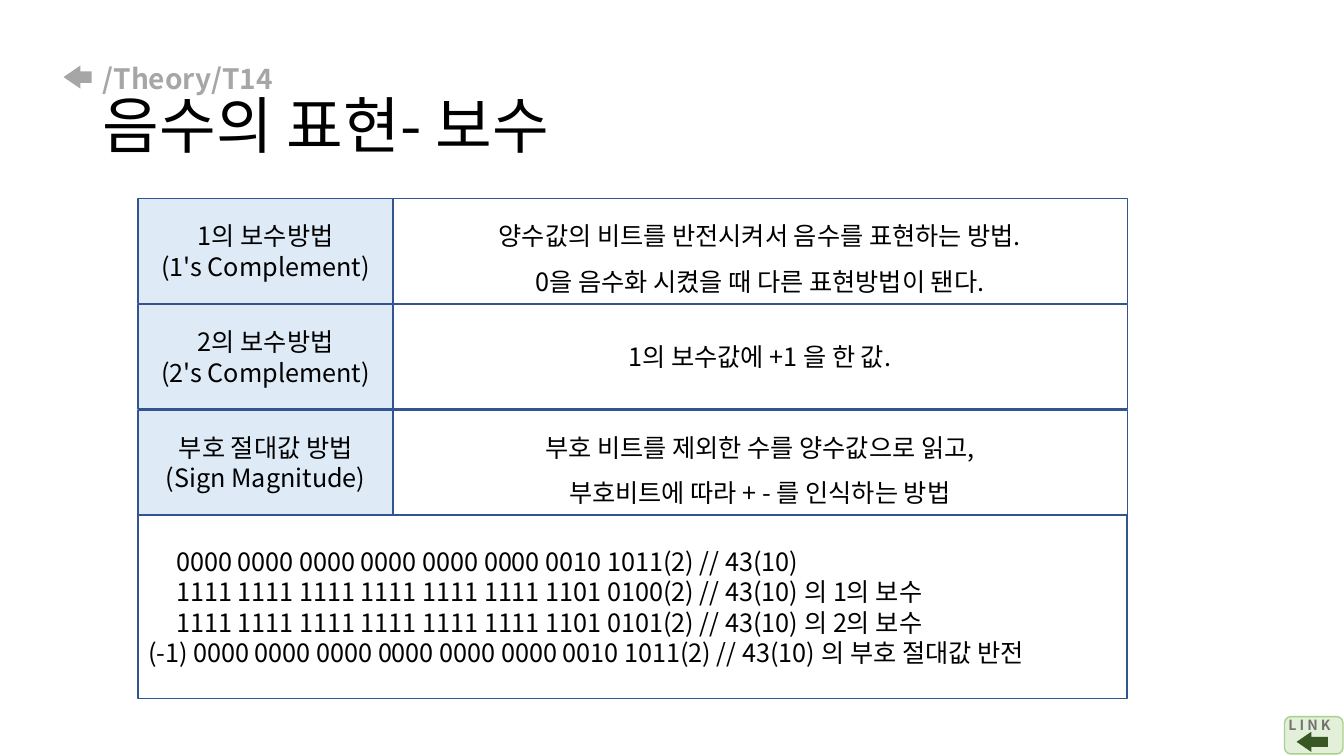
from pptx import Presentation
from pptx.dml.color import RGBColor
from pptx.enum.shapes import MSO_SHAPE
from pptx.enum.text import MSO_ANCHOR, PP_ALIGN
from pptx.oxml.ns import qn
from pptx.util import Pt
from lxml import etree

PX = 9144  # 100 px to the inch
FONT = "Noto Sans CJK KR"
RECT, ROUND = MSO_SHAPE.RECTANGLE, MSO_SHAPE.ROUNDED_RECTANGLE
ARROW = MSO_SHAPE.LEFT_ARROW
MIDDLE, TOP = MSO_ANCHOR.MIDDLE, MSO_ANCHOR.TOP
LEFT, CENTER = PP_ALIGN.LEFT, PP_ALIGN.CENTER
COLORS = {
    "text": "000000", "path": "A6A6A6", "label": "DEEBF7", "border": "325491",
    "button": "E2F0D9", "button_edge": "A9D18E", "button_text": "767171",
    "button_arrow": "385723",
}


def add_box(shapes, kind, bounds, fill=None, line=None):
    box = shapes.add_shape(kind, *[value * PX for value in bounds])
    box.shadow.inherit = False
    if fill:
        box.fill.solid()
        box.fill.fore_color.rgb = RGBColor.from_string(COLORS[fill])
    else:
        box.fill.background()
    if line:
        box.line.color.rgb = RGBColor.from_string(COLORS[line])
        box.line.width = Pt(1)
    else:
        box.line.fill.background()
    return box


def write(box, lines, align=LEFT, spacing=1.0, anchor=MIDDLE, wrap=True):
    """Each line is (text, size, color, bold, left indent in px)."""
    frame = box.text_frame
    frame.word_wrap = wrap
    frame.vertical_anchor = anchor
    for index, (text, size, color, bold, indent) in enumerate(lines):
        para = frame.add_paragraph() if index else frame.paragraphs[0]
        para.alignment = align
        para.line_spacing = spacing
        if indent:
            para._p.get_or_add_pPr().set("marL", str(indent * PX))
        span = para.add_run()
        span.text = text
        for name, value in {"name": FONT, "size": Pt(size), "bold": bold}.items():
            setattr(span.font, name, value)
        span.font.color.rgb = RGBColor.from_string(COLORS[color])
        east_asian = etree.SubElement(span._r.get_or_add_rPr(), qn("a:ea"))
        east_asian.set("typeface", FONT)


deck = Presentation()
deck.slide_width, deck.slide_height = 1333 * PX, 750 * PX
page = deck.slides.add_slide(deck.slide_layouts[6])

# Title and back arrow
title = page.shapes.add_textbox(*[value * PX for value in (92, 40, 1150, 145)])
write(title, [("/Theory/T14", 20, "path", True, 0),
              ("음수의 표현- 보수", 44, "text", False, 0)], spacing=0.9)
back_arrow = add_box(page.shapes, ARROW, (63, 65, 28, 23), "path")
back_arrow.adjustments[1] = 0.73

# Methods: label on the left, explanation on the right
METHODS = [
    (["1의 보수방법", "(1's Complement)"],
     ["양수값의 비트를 반전시켜서 음수를 표현하는 방법.",
      "0을 음수화 시켰을 때 다른 표현방법이 됀다."], 1.5),
    (["2의 보수방법", "(2's Complement)"],
     ["1의 보수값에 +1 을 한 값."], 1.0),
    (["부호 절대값 방법", "(Sign Magnitude)"],
     ["부호 비트를 제외한 수를 양수값으로 읽고,",
      "부호비트에 따라 + - 를 인식하는 방법"], 1.5),
]
for row, (label, explanation, spacing) in enumerate(METHODS):
    top = 197 + row * 105
    cells = [(137, 253, "label", label, 1.0), (389, 729, None, explanation, spacing)]
    for left, width, fill, texts, line_spacing in cells:
        cell = add_box(page.shapes, RECT, (left, top, width, 104), fill, "border")
        write(cell, [(text, 18, "text", False, 0) for text in texts],
              CENTER, line_spacing)

# Worked example
EXAMPLES = [
    ("0000 0000 0000 0000 0000 0000 0010 1011(2) // 43(10)", 28),
    ("1111 1111 1111 1111 1111 1111 1101 0100(2) // 43(10) 의 1의 보수", 28),
    ("1111 1111 1111 1111 1111 1111 1101 0101(2) // 43(10) 의 2의 보수", 28),
    ("(-1) 0000 0000 0000 0000 0000 0000 0010 1011(2) // 43(10) 의 부호 절대값 반전", 0),
]
example = add_box(page.shapes, RECT, (137, 511, 981, 182), None, "border")
write(example, [(text, 18, "text", False, indent) for text, indent in EXAMPLES])

# Link button
button = page.shapes.add_group_shape()
add_box(button.shapes, ROUND, (1274, 711, 58, 37), "button", "button_edge")
caption = button.shapes.add_textbox(*[value * PX for value in (1268, 706, 74, 44)])
write(caption, [("L I N K", 10, "button_text", True, 0)], anchor=TOP)
link_arrow = add_box(button.shapes, ARROW, (1286, 726, 31, 20), "button_arrow")
link_arrow.adjustments[1] = 0.73

deck.save("out.pptx")
